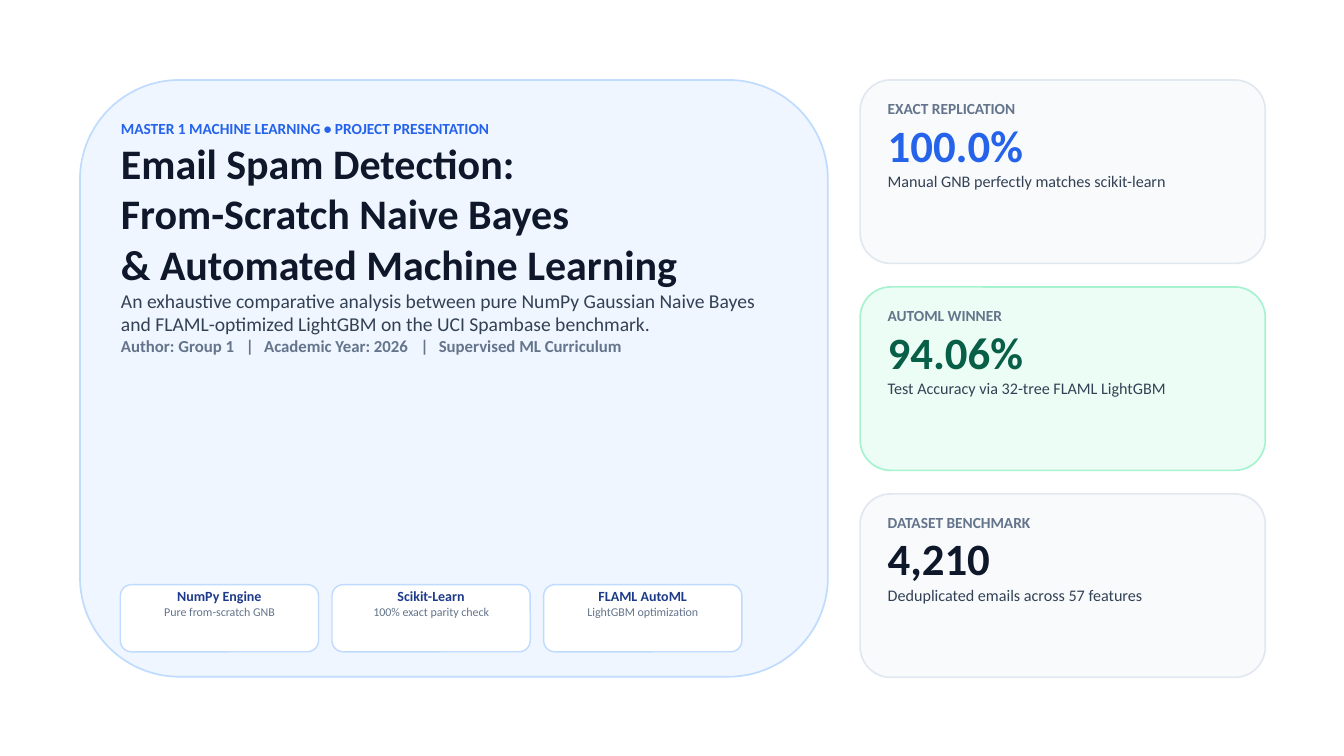
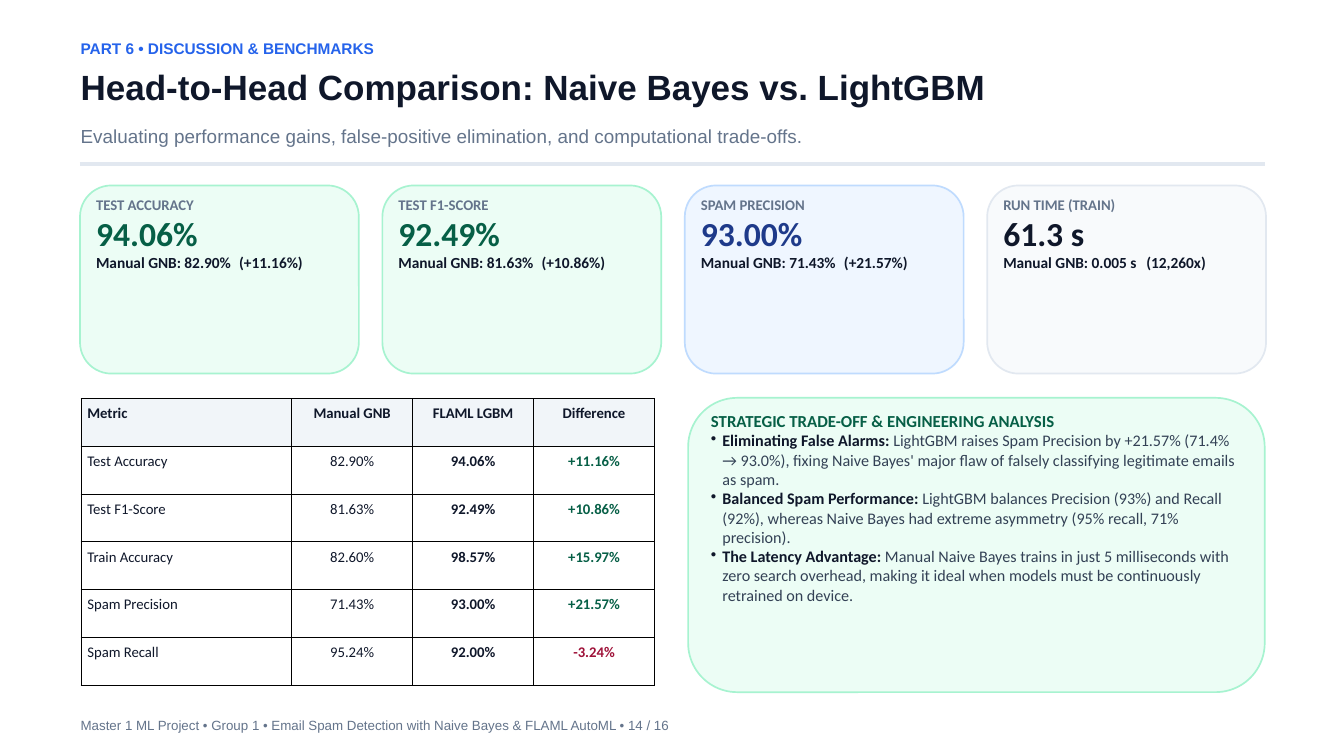
from dataclasses import dataclass

from lxml import etree
from pptx import Presentation
from pptx.dml.color import RGBColor
from pptx.enum.shapes import MSO_CONNECTOR, MSO_SHAPE
from pptx.enum.text import PP_ALIGN
from pptx.oxml.ns import qn
from pptx.util import Pt

PX = 9144  # EMU per px, 100 px to the inch
ROUNDED = MSO_SHAPE.ROUNDED_RECTANGLE
STRAIGHT = MSO_CONNECTOR.STRAIGHT
LEFT, CENTER = PP_ALIGN.LEFT, PP_ALIGN.CENTER
BODY_FONT, HEAD_FONT = "Calibri", "Arial"

# Colours
INK, TEXT, MUTED = "0F172A", "334155", "64748B"
BLUE, NAVY, GREEN, RED = "2563EB", "1E3A8A", "065F46", "9F1239"
WHITE, RULE, HEADER = "FFFFFF", "E2E8F0", "F1F5F9"


@dataclass(frozen=True)
class Theme:
    fill: str
    line: str


SKY = Theme("EFF6FF", "BFDBFE")
MINT = Theme("ECFDF5", "A7F3D0")
GREY = Theme("F8FAFC", RULE)
CHIP = Theme(WHITE, "BFDBFE")


@dataclass(frozen=True)
class Box:
    x: int
    y: int
    w: int
    h: int

    def emu(self) -> list[int]:
        return [v * PX for v in (self.x, self.y, self.w, self.h)]

    def inset(self, dx: int, dy: int) -> "Box":
        return Box(self.x + dx, self.y + dy, self.w - 2 * dx, self.h - 2 * dy)


@dataclass(frozen=True)
class Card:
    label: str
    value: str
    note: str
    value_color: str
    theme: Theme


@dataclass(frozen=True)
class CardStyle:
    dx: int
    dy: int
    label_size: float
    value_size: float
    note_size: float
    note_color: str
    note_bold: bool


HERO_CARD = CardStyle(41, 28, 16.5, 48, 17.25, TEXT, False)
KPI_CARD = CardStyle(24, 15, 15.75, 36, 16.5, INK, True)


# Shared helpers
def rgb(color: str) -> RGBColor:
    return RGBColor.from_string(color)


def add_panel(slide, box: Box, theme: Theme, width: float = 1.8) -> None:
    sp = slide.shapes.add_shape(ROUNDED, *box.emu())
    sp.shadow.inherit = False
    sp.fill.solid()
    sp.fill.fore_color.rgb = rgb(theme.fill)
    sp.line.color.rgb = rgb(theme.line)
    sp.line.width = Pt(width)


def add_frame(slide, box: Box):
    tf = slide.shapes.add_textbox(*box.emu()).text_frame
    tf.word_wrap = True
    tf.margin_left = tf.margin_right = tf.margin_top = tf.margin_bottom = 0
    return tf


def write(tf, text: str, *, size: float, color: str, bold: bool = False,
          font: str = BODY_FONT, align=LEFT, lead: str = "",
          bullet: int = 0, tabs: tuple[int, ...] = ()) -> None:
    """Add one paragraph; lead is a bold ink-coloured opening."""
    p = tf.paragraphs[0]
    if p.runs:
        p = tf.add_paragraph()
    p.alignment = align
    p.line_spacing = Pt(size * 1.2)
    p_pr = p._p.get_or_add_pPr()
    if bullet:
        p_pr.set("marL", str(bullet * PX))
        p_pr.set("indent", str(-bullet * PX))
        etree.SubElement(p_pr, qn("a:buChar"), char="•")
    if tabs:
        tab_list = etree.SubElement(p_pr, qn("a:tabLst"))
        for pos in tabs:
            etree.SubElement(tab_list, qn("a:tab"), pos=str(pos * PX), algn="l")
    parts = [(lead, INK, True)] if lead else []
    for content, tone, strong in parts + [(text, color, bold)]:
        r = p.add_run()
        r.text = content
        r.font.name = font
        r.font.size = Pt(size)
        r.font.bold = strong
        r.font.color.rgb = rgb(tone)


def add_card(slide, box: Box, card: Card, style: CardStyle) -> None:
    add_panel(slide, box, card.theme)
    tf = add_frame(slide, box.inset(style.dx, style.dy))
    write(tf, card.label, size=style.label_size, color=MUTED, bold=True)
    write(tf, card.value, size=style.value_size, color=card.value_color, bold=True)
    write(tf, card.note, size=style.note_size, color=style.note_color,
          bold=style.note_bold, tabs=(213,) if "\t" in card.note else ())


def add_heading(slide, part: str, title: str, subtitle: str, footer: str) -> None:
    lines = [
        (part, 58, 44, 16.5, BLUE, True),
        (title, 98, 87, 37.5, INK, True),
        (subtitle, 185, 54, 20.25, MUTED, False),
        (footer, 1067, 25, 14.25, MUTED, False),
    ]
    for text, y, h, size, color, bold in lines:
        write(add_frame(slide, Box(120, y, 1761, h)), text, size=size,
              color=color, bold=bold, font=HEAD_FONT)
    rule = slide.shapes.add_connector(
        STRAIGHT, 119 * PX, 244 * PX, 1882 * PX, 244 * PX)
    rule.line.color.rgb = rgb(RULE)
    rule.line.width = Pt(4)
    etree.SubElement(rule._element.spPr, qn("a:effectLst"))


def fill_cell(cell, text: str, color: str, bold: bool, align, fill: str) -> None:
    cell.margin_left = cell.margin_right = 10 * PX
    cell.margin_top = cell.margin_bottom = 10 * PX
    tc_pr = cell._tc.get_or_add_tcPr()
    for side in ("lnL", "lnR", "lnT", "lnB"):
        ln = etree.SubElement(tc_pr, qn(f"a:{side}"), w=str(Pt(0.37)))
        solid = etree.SubElement(ln, qn("a:solidFill"))
        etree.SubElement(solid, qn("a:srgbClr"), val="000000")
    cell.fill.solid()
    cell.fill.fore_color.rgb = rgb(fill)
    write(cell.text_frame, text, size=15.75, color=color, bold=bold, align=align)


def add_metrics(slide, box: Box, rows: list[tuple[str, ...]]) -> None:
    widths = (314, 180, 180, 180)
    table = slide.shapes.add_table(len(rows), len(widths), *box.emu()).table
    table.first_row = table.horz_banding = False
    for col, width in zip(table.columns, widths):
        col.width = width * PX
    for i, row in enumerate(rows):
        table.rows[i].height = box.h // len(rows) * PX
        for j, text in enumerate(row):
            color = INK
            if i and j == 3:
                color = RED if text.startswith("-") else GREEN
            fill_cell(table.cell(i, j), text, color, i == 0 or j >= 2,
                      CENTER if j else LEFT, WHITE if i else HEADER)


# Slide 1: cover
def build_cover(prs) -> None:
    slide = prs.slides.add_slide(prs.slide_layouts[6])
    add_panel(slide, Box(119, 119, 1113, 888), SKY)
    tf = add_frame(slide, Box(180, 177, 991, 769))
    write(tf, "MASTER 1 MACHINE LEARNING • PROJECT PRESENTATION",
          size=16.5, color=BLUE, bold=True)
    for line in ("Email Spam Detection:", "From-Scratch Naive Bayes",
                 "& Automated Machine Learning"):
        write(tf, line, size=45, color=INK, bold=True)
    write(tf, "An exhaustive comparative analysis between pure NumPy Gaussian "
          "Naive Bayes and FLAML-optimized LightGBM on the UCI Spambase "
          "benchmark.", size=21, color=TEXT)
    write(tf, "Author: Group 1\t|\tAcademic Year: 2026\t|\tSupervised ML Curriculum",
          size=18, color=MUTED, bold=True, tabs=(186, 213, 446, 473))

    chips = [
        ("NumPy Engine", "Pure from-scratch GNB"),
        ("Scikit-Learn", "100% exact parity check"),
        ("FLAML AutoML", "LightGBM optimization"),
    ]
    for i, (name, detail) in enumerate(chips):
        box = Box(179 + 315 * i, 870, 295, 100)
        add_panel(slide, box, CHIP, 1.5)
        tf = add_frame(slide, box.inset(16, 4))
        write(tf, name, size=15, color=NAVY, bold=True, align=CENTER)
        write(tf, detail, size=12.75, color=MUTED, align=CENTER)

    cards = [
        Card("EXACT REPLICATION", "100.0%",
             "Manual GNB perfectly matches scikit-learn", BLUE, GREY),
        Card("AUTOML WINNER", "94.06%",
             "Test Accuracy via 32-tree FLAML LightGBM", GREEN, MINT),
        Card("DATASET BENCHMARK", "4,210",
             "Deduplicated emails across 57 features", INK, GREY),
    ]
    for i, card in enumerate(cards):
        add_card(slide, Box(1280, 119 + 308 * i, 603, 273), card, HERO_CARD)


# Slide 2: comparison
def build_comparison(prs) -> None:
    slide = prs.slides.add_slide(prs.slide_layouts[6])
    add_heading(
        slide, "PART 6 • DISCUSSION & BENCHMARKS",
        "Head-to-Head Comparison: Naive Bayes vs. LightGBM",
        "Evaluating performance gains, false-positive elimination, and "
        "computational trade-offs.",
        "Master 1 ML Project • Group 1 • Email Spam Detection with Naive Bayes "
        "& FLAML AutoML • 14 / 16")

    kpis = [
        Card("TEST ACCURACY", "94.06%", "Manual GNB: 82.90%\t(+11.16%)", GREEN, MINT),
        Card("TEST F1-SCORE", "92.49%", "Manual GNB: 81.63%\t(+10.86%)", GREEN, MINT),
        Card("SPAM PRECISION", "93.00%", "Manual GNB: 71.43%\t(+21.57%)", NAVY, SKY),
        Card("RUN TIME (TRAIN)", "61.3 s", "Manual GNB: 0.005 s\t(12,260x)", INK, GREY),
    ]
    for i, kpi in enumerate(kpis):
        add_card(slide, Box(119 + 450 * i, 276, 415, 280), kpi, KPI_CARD)

    add_metrics(slide, Box(120, 593, 854, 426), [
        ("Metric", "Manual GNB", "FLAML LGBM", "Difference"),
        ("Test Accuracy", "82.90%", "94.06%", "+11.16%"),
        ("Test F1-Score", "81.63%", "92.49%", "+10.86%"),
        ("Train Accuracy", "82.60%", "98.57%", "+15.97%"),
        ("Spam Precision", "71.43%", "93.00%", "+21.57%"),
        ("Spam Recall", "95.24%", "92.00%", "-3.24%"),
    ])

    # Trade-off analysis
    add_panel(slide, Box(1024, 592, 858, 438), MINT)
    tf = add_frame(slide, Box(1058, 611, 790, 394))
    write(tf, "STRATEGIC TRADE-OFF & ENGINEERING ANALYSIS",
          size=18, color=GREEN, bold=True)
    points = [
        ("Eliminating False Alarms: ",
         "LightGBM raises Spam Precision by +21.57% (71.4% → 93.0%), fixing Naive "
         "Bayes' major flaw of falsely classifying legitimate emails as spam."),
        ("Balanced Spam Performance: ",
         "LightGBM balances Precision (93%) and Recall (92%), whereas Naive Bayes "
         "had extreme asymmetry (95% recall, 71% precision)."),
        ("The Latency Advantage: ",
         "Manual Naive Bayes trains in just 5 milliseconds with zero search "
         "overhead, making it ideal when models must be continuously retrained "
         "on device."),
    ]
    for lead, text in points:
        write(tf, text, size=17.25, color=TEXT, lead=lead, bullet=17)


def main() -> None:
    prs = Presentation()
    prs.slide_width, prs.slide_height = 2000 * PX, 1125 * PX
    build_cover(prs)
    build_comparison(prs)
    prs.save("out.pptx")


if __name__ == "__main__":
    main()
